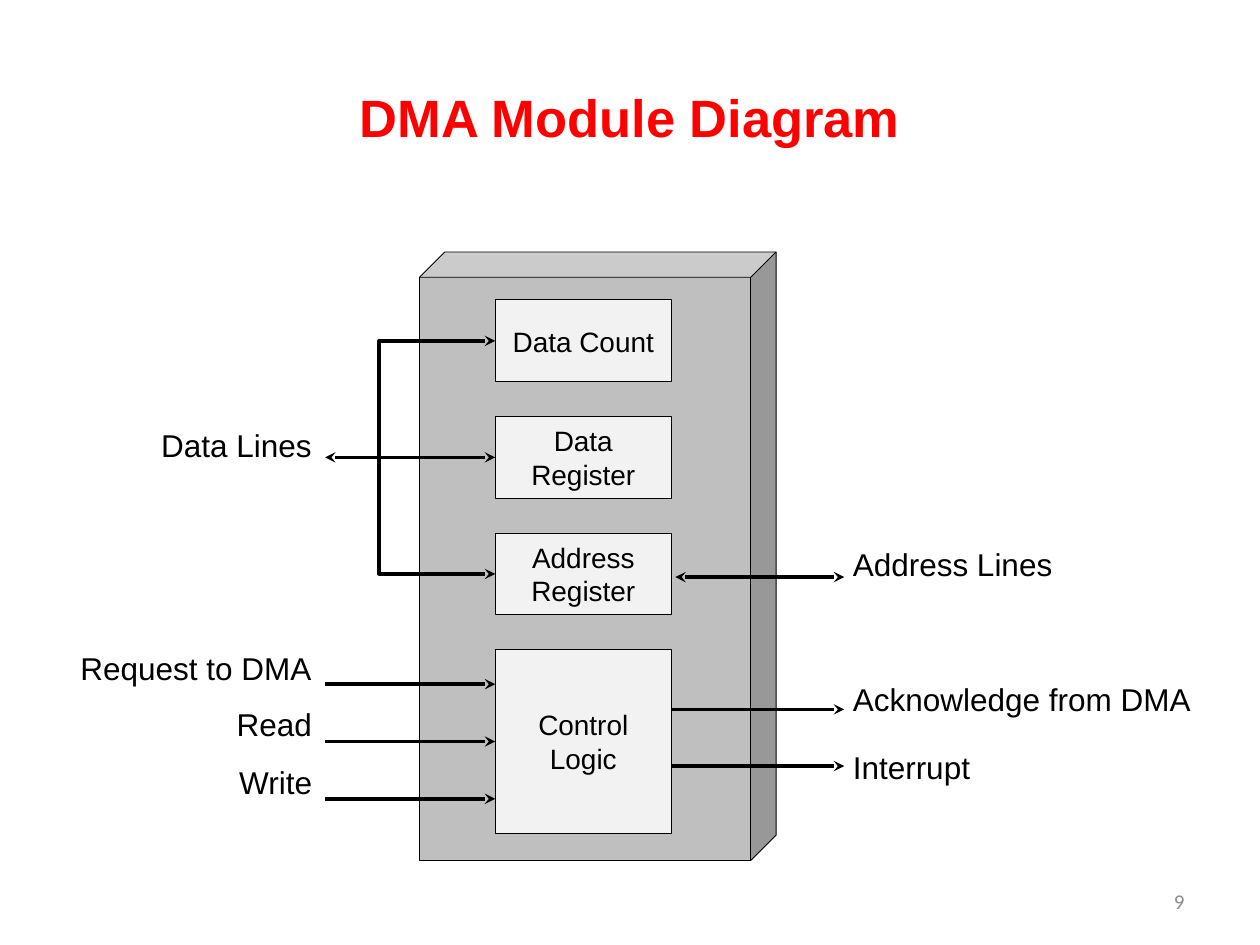
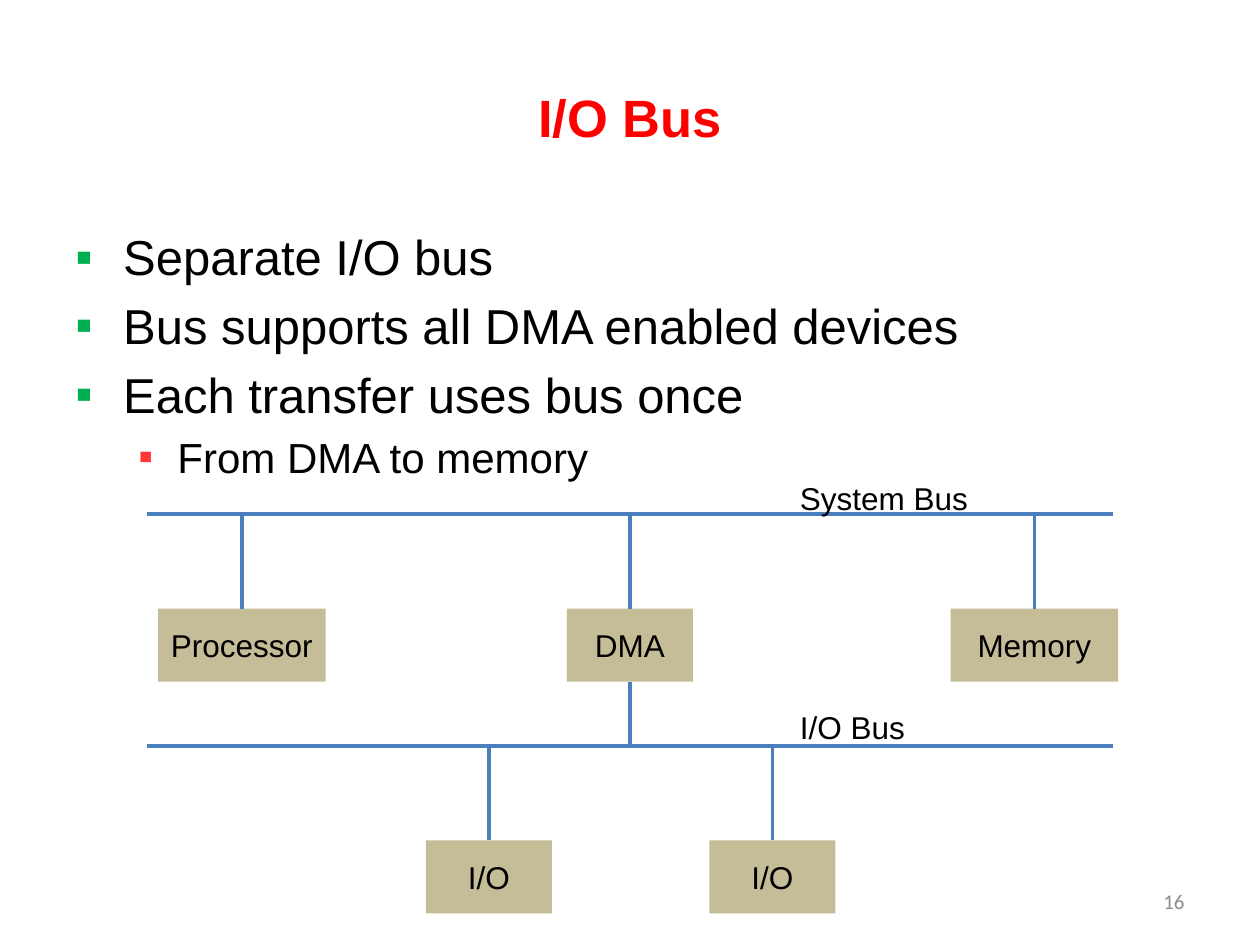
from lxml.etree import SubElement
from pptx import Presentation
from pptx.dml.color import RGBColor
from pptx.enum.shapes import MSO_CONNECTOR, MSO_SHAPE
from pptx.enum.text import MSO_ANCHOR, MSO_AUTO_SIZE, PP_ALIGN
from pptx.oxml.ns import qn
from pptx.util import Inches, Pt

# Shared look
BLACK, RED, GREEN = "000000", "FF0000", "00B050"
TITLE = {"size": 30, "color": RED, "bold": True}
NUMBER = {"size": 12, "color": "8C8C8C", "name": "Calibri"}
LABEL = {"size": 18}
TITLE_BOX = (0.5, 0.3, 9, 1.25)
NUMBER_BOX = (7.17, 6.95, 2.33, 0.4)
LABEL_H = 0.4
TOP, LEFT, BOTTOM, RIGHT = range(4)

# DMA module
MODULE = (3.33, 2, 2.83, 4.83)
REG_X, REG_Y, REG_W, REG_H, REG_PITCH = 3.93, 2.38, 1.4, 0.65, 0.925
REGISTERS = [("Data Count", REG_H), ("Data Register", REG_H),
             ("Address Register", REG_H), ("Control Logic", 1.46)]
WIRE_LEFT, WIRE_RIGHT, BRANCH_X = 2.58, 6.7, 3.01
LABEL_LEFT_END, LABEL_RIGHT = 2.59, 6.67
INPUT_STEP, OUTPUT_YS = 0.455, (5.63, 6.08)
# text, width, top
LEFT_LABELS = [("Data Lines", 1.41, 3.33), ("Request to DMA", 2.05, 5.1),
               ("Read", 0.81, 5.55), ("Write", 0.79, 6.01)]
RIGHT_LABELS = [("Address Lines", 1.8, 4.28), ("Acknowledge from DMA", 2.91, 5.35),
                ("Interrupt", 1.14, 5.89)]

# I/O bus
BULLETS = [("Separate I/O bus", 0), ("Bus supports all DMA enabled devices", 0),
           ("Each transfer uses bus once", 0), ("From DMA to memory", 1)]
# size, bullet colour, text indent, hanging indent
LEVELS = [(28, GREEN, 0.38, 0.38), (24, "FF3737", 0.81, 0.31)]
BUS_BLUE, UNIT_FILL = "4B7EBC", "C4BD97"
BUS_LEFT, BUS_RIGHT, BUS_LABEL_X = 1.17, 8.83, 6.25
UNIT_H, STUB = 0.58, 0.75
# label, label width, label top, bus height, units as (name, centre, width)
BUSES = [
    ("System Bus", 1.55, 3.75, 4.08,
     [("Processor", 1.92, 1.33), ("DMA", 5, 1), ("Memory", 8.21, 1.33)]),
    ("I/O Bus", 1.04, 5.57, 5.92, [("I/O", 3.88, 1), ("I/O", 6.13, 1)]),
]


def rgb(value):
    return RGBColor.from_string(value)


def inches(*values):
    return [Inches(v) for v in values]


def write(p, text, size, color=BLACK, name="Arial", bold=False):
    r = p.add_run()
    r.text = text
    for key, value in {"size": Pt(size), "name": name, "bold": bold}.items():
        setattr(r.font, key, value)
    r.font.color.rgb = rgb(color)


def text_box(s, box, text, style, align=PP_ALIGN.LEFT, **frame):
    tf = s.shapes.add_textbox(*inches(*box)).text_frame
    for key, value in {"word_wrap": True, **frame}.items():
        setattr(tf, key, value)
    p = tf.paragraphs[0]
    p.alignment = align
    write(p, text, **style)


def label(s, x, y, w, text):
    text_box(s, (x, y, w, LABEL_H), text, LABEL, word_wrap=False,
             auto_size=MSO_AUTO_SIZE.SHAPE_TO_FIT_TEXT)


def block(s, kind, box, fill, outlined=True, text="", size=18):
    sp = s.shapes.add_shape(kind, *inches(*box))
    sp.shadow.inherit = False
    sp.fill.solid()
    sp.fill.fore_color.rgb = rgb(fill)
    if outlined:
        sp.line.color.rgb = rgb(BLACK)
        sp.line.width = Pt(0.5)
    else:
        sp.line.fill.background()
    if text:
        tf = sp.text_frame
        tf.word_wrap, tf.vertical_anchor = True, MSO_ANCHOR.MIDDLE
        p = tf.paragraphs[0]
        p.alignment = PP_ALIGN.CENTER
        write(p, text, size)
    return sp


def stroke(sp, color, ends):
    """Line format, with arrowheads at the ends named headEnd and tailEnd."""
    sp.line.color.rgb = rgb(color)
    sp.line.width = Pt(2)
    for end in ends:
        SubElement(sp.line._get_or_add_ln(), qn("a:" + end), type="stealth")


def wire(s, start, end, color=BLACK, ends=()):
    """Straight connector; each end is (x, y), or (shape, side) to join it."""
    points = [e if isinstance(e[0], (int, float)) else (0, 0) for e in (start, end)]
    c = s.shapes.add_connector(MSO_CONNECTOR.STRAIGHT, *inches(*points[0], *points[1]))
    for e, connect in ((start, c.begin_connect), (end, c.end_connect)):
        if not isinstance(e[0], (int, float)):
            connect(*e)
    stroke(c, color, ends)
    SubElement(c._element.spPr, qn("a:effectLst"))


def new_slide(prs, title, number):
    s = prs.slides.add_slide(prs.slide_layouts[6])
    middle = {"vertical_anchor": MSO_ANCHOR.MIDDLE}
    text_box(s, TITLE_BOX, title, TITLE, PP_ALIGN.CENTER, **middle)
    text_box(s, NUMBER_BOX, str(number), NUMBER, PP_ALIGN.RIGHT, **middle)
    return s


def dma_module(prs):
    s = new_slide(prs, "DMA Module Diagram", 9)
    block(s, MSO_SHAPE.CUBE, MODULE, "BFBFBF").adjustments[0] = 0.071
    boxes = [block(s, MSO_SHAPE.RECTANGLE, (REG_X, REG_Y + i * REG_PITCH, REG_W, h),
                   "F2F2F2", text=name, size=16)
             for i, (name, h) in enumerate(REGISTERS)]
    count, data, address, control = boxes
    mid = [(b.top + b.height / 2) / Inches(1) for b in boxes]

    both, tail = ("headEnd", "tailEnd"), ("tailEnd",)
    path = [(BRANCH_X, mid[0]), (BRANCH_X, mid[2]), (REG_X, mid[2])]
    fb = s.shapes.build_freeform(Inches(REG_X), Inches(mid[0]))
    fb.add_line_segments([inches(*point) for point in path], close=False)
    branch = fb.convert_to_shape()
    branch.shadow.inherit = False
    branch.fill.background()
    stroke(branch, BLACK, both)

    wire(s, (data, LEFT), (WIRE_LEFT, mid[1]), ends=both)
    wire(s, (WIRE_RIGHT, 4.58), (5.36, 4.58), ends=both)
    wire(s, (WIRE_LEFT, mid[3]), (control, LEFT), ends=tail)
    for y in (mid[3] - INPUT_STEP, mid[3] + INPUT_STEP):
        wire(s, (WIRE_LEFT, y), (REG_X, y), ends=tail)
    for y in OUTPUT_YS:
        wire(s, (REG_X + REG_W, y), (WIRE_RIGHT, y), ends=tail)

    for text, w, y in LEFT_LABELS:
        label(s, LABEL_LEFT_END - w, y, w, text)
    for text, w, y in RIGHT_LABELS:
        label(s, LABEL_RIGHT, y, w, text)


def bullet_list(s, box, items):
    tf = s.shapes.add_textbox(*inches(*box)).text_frame
    tf.word_wrap = True
    for i, (text, level) in enumerate(items):
        size, color, indent, hang = LEVELS[level]
        p = tf.add_paragraph() if i else tf.paragraphs[0]
        p.level = level
        pPr = p._p.get_or_add_pPr()
        pPr.set("marL", str(Inches(indent)))
        pPr.set("indent", str(-Inches(hang)))
        SubElement(SubElement(pPr, qn("a:spcBef")), qn("a:spcPct"), val="20000")
        SubElement(SubElement(pPr, qn("a:buClr")), qn("a:srgbClr"), val=color)
        SubElement(pPr, qn("a:buFont"), typeface="Arial")
        SubElement(pPr, qn("a:buChar"), char="▪")
        write(p, text, size)


def io_bus(prs):
    s = new_slide(prs, "I/O Bus", 16)
    bullet_list(s, (0.5, 1.75, 9, 4.95), BULLETS)
    units = {}
    for text, w, label_y, y, members in BUSES:
        wire(s, (BUS_LEFT, y), (BUS_RIGHT, y), BUS_BLUE)
        label(s, BUS_LABEL_X, label_y, w, text)
        for name, x, unit_w in members:
            box = (x - unit_w / 2, y + STUB, unit_w, UNIT_H)
            units[name] = block(s, MSO_SHAPE.RECTANGLE, box, UNIT_FILL, False, name)
            wire(s, (units[name], TOP), (x, y), BUS_BLUE)
    wire(s, (5, BUSES[1][3]), (units["DMA"], BOTTOM), BUS_BLUE)


def main():
    prs = Presentation()
    prs.slide_width, prs.slide_height = inches(10, 7.5)
    dma_module(prs)
    io_bus(prs)
    prs.save("out.pptx")


if __name__ == "__main__":
    main()
